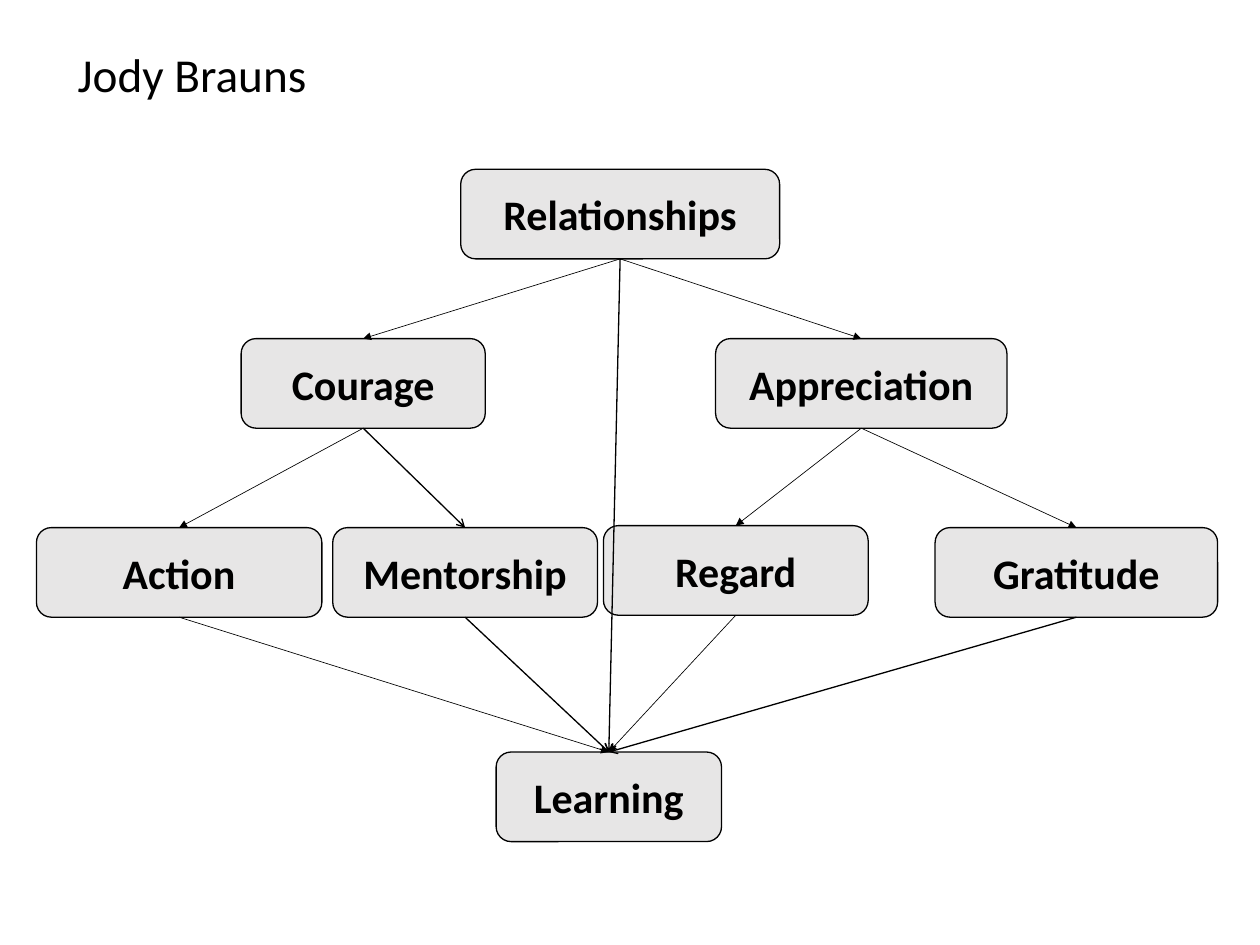
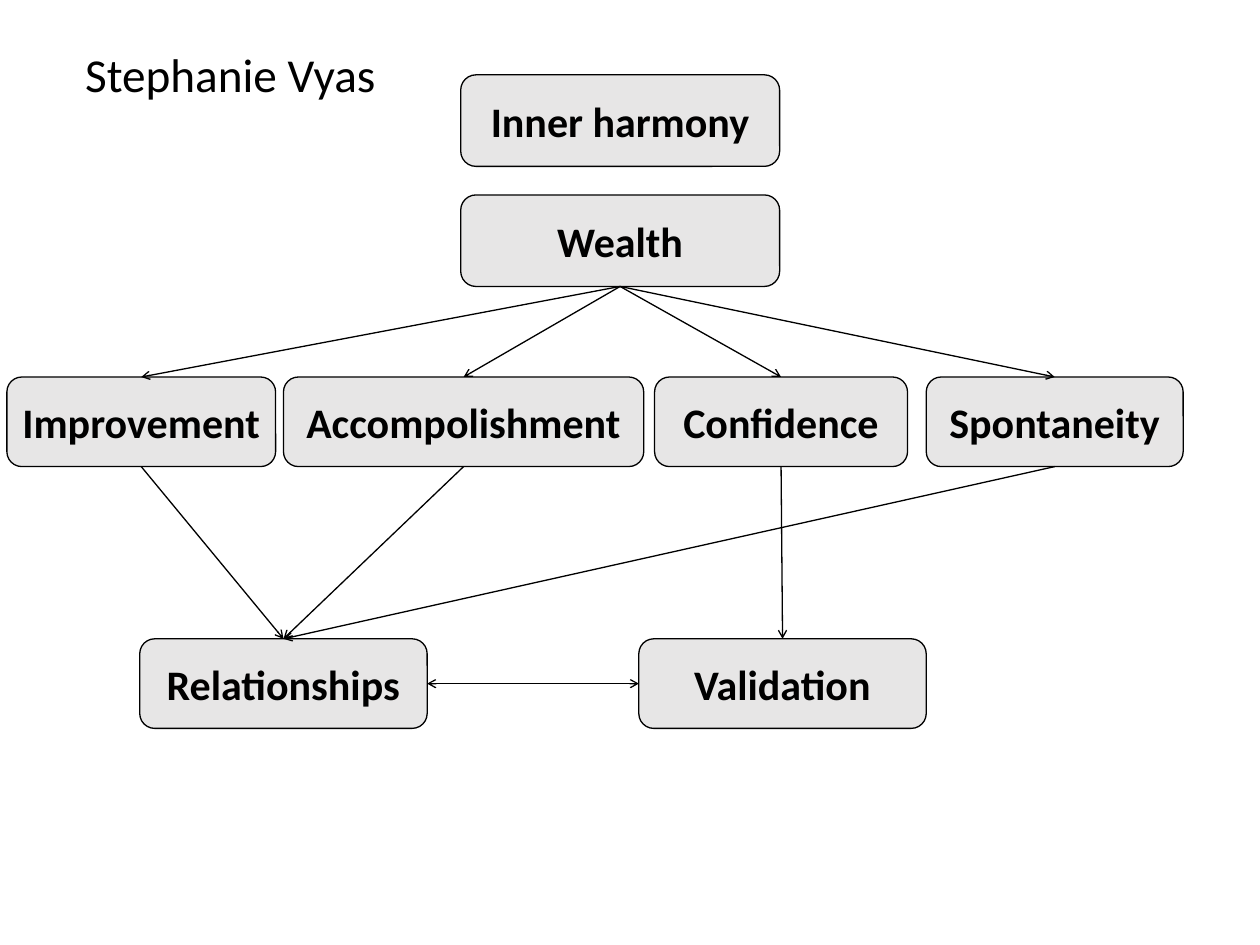
from dataclasses import dataclass

from lxml.etree import SubElement
from pptx import Presentation
from pptx.dml.color import RGBColor
from pptx.enum.shapes import MSO_CONNECTOR, MSO_SHAPE
from pptx.enum.text import MSO_ANCHOR, MSO_AUTO_SIZE, PP_ALIGN
from pptx.oxml.ns import qn
from pptx.util import Emu, Pt


@dataclass(frozen=True)
class Theme:
    font: str = "Calibri"
    ink: RGBColor = RGBColor(0, 0, 0)
    box_fill: RGBColor = RGBColor(0xE7, 0xE6, 0xE6)
    title_size: Pt = Pt(36)
    box_size: Pt = Pt(32)
    outline: Pt = Pt(1)
    hairline: Pt = Pt(0.5)


THEME = Theme()
PX = 9525  # EMU per px, 96 px to the inch
TOP, LEFT, BOTTOM, RIGHT = range(4)  # connection sites of a box

# Each box: left, top, width, height. Each arrow: from, to.
# Open arrows are 1 pt, solid arrows are hairlines.
LADDERS = [
    {
        "person": "Jody Brauns",
        "title_width": 321,
        "title_align": PP_ALIGN.RIGHT,
        "values": {
            "Relationships": (468, 172, 324, 91),
            "Courage": (245, 344, 248, 91),
            "Appreciation": (727, 344, 296, 91),
            "Action": (37, 536, 290, 91),
            "Mentorship": (338, 536, 269, 91),
            "Regard": (613, 534, 269, 91),
            "Gratitude": (950, 536, 287, 91),
            "Learning": (504, 764, 229, 91),
        },
        "solid": [
            ("Relationships", "Courage"),
            ("Relationships", "Appreciation"),
            ("Courage", "Action"),
            ("Appreciation", "Regard"),
            ("Appreciation", "Gratitude"),
            ("Action", "Learning"),
            ("Regard", "Learning"),
        ],
        "open": [
            ("Courage", "Mentorship"),
            ("Mentorship", "Learning"),
            ("Gratitude", "Learning"),
            ("Relationships", "Learning"),
        ],
        "mutual": [],
    },
    {
        "person": "Stephanie Vyas",
        "title_width": 468,
        "title_align": PP_ALIGN.CENTER,
        "values": {
            "Inner harmony": (468, 76, 324, 93),
            "Wealth": (468, 198, 324, 93),
            "Improvement": (7, 383, 273, 91),
            "Accompolishment": (288, 383, 366, 91),
            "Confidence": (665, 383, 257, 91),
            "Spontaneity": (941, 383, 261, 91),
            "Relationships": (142, 649, 292, 91),
            "Validation": (649, 649, 292, 91),
        },
        "solid": [],
        "open": [
            ("Wealth", "Improvement"),
            ("Wealth", "Accompolishment"),
            ("Wealth", "Confidence"),
            ("Wealth", "Spontaneity"),
            ("Improvement", "Relationships"),
            ("Accompolishment", "Relationships"),
            ("Spontaneity", "Relationships"),
            ("Confidence", "Validation"),
        ],
        "mutual": [("Relationships", "Validation")],
    },
]


def write(frame, text, size, align, bold=False):
    frame.vertical_anchor = MSO_ANCHOR.MIDDLE
    frame.auto_size = MSO_AUTO_SIZE.NONE
    frame.word_wrap = True
    paragraph = frame.paragraphs[0]
    paragraph.alignment = align
    run = paragraph.add_run()
    run.text = text
    run.font.name = THEME.font
    run.font.size = size
    run.font.bold = bold
    run.font.color.rgb = THEME.ink


def link(slide, start, end, sites, width, ends):
    arrow = slide.shapes.add_connector(MSO_CONNECTOR.STRAIGHT, 0, 0, 0, 0)
    arrow.begin_connect(start, sites[0])
    arrow.end_connect(end, sites[1])
    arrow.line.width = width
    arrow.line.color.rgb = THEME.ink
    line = arrow.line._get_or_add_ln()
    for tag, kind in ends.items():
        SubElement(line, qn(tag), type=kind)
    SubElement(arrow._element.spPr, qn("a:effectLst"))


deck = Presentation()
deck.slide_width, deck.slide_height = Emu(1280 * PX), Emu(960 * PX)

for ladder in LADDERS:
    slide = deck.slides.add_slide(deck.slide_layouts[5])

    # Person's name as the title
    title = slide.shapes.title
    title.left, title.top = Emu(0), Emu(41 * PX)
    title.width, title.height = Emu(ladder["title_width"] * PX), Emu(68 * PX)
    write(title.text_frame, ladder["person"], THEME.title_size, ladder["title_align"])

    # Value boxes
    boxes = {}
    for value, place in ladder["values"].items():
        box = slide.shapes.add_shape(
            MSO_SHAPE.ROUNDED_RECTANGLE, *(Emu(length * PX) for length in place))
        box.shadow.inherit = False
        box.fill.solid()
        box.fill.fore_color.rgb = THEME.box_fill
        box.line.color.rgb = THEME.ink
        box.line.width = THEME.outline
        write(box.text_frame, value, THEME.box_size, PP_ALIGN.CENTER, bold=True)
        boxes[value] = box

    # Arrows between values
    for group, sites, width, ends in (
        ("solid", (BOTTOM, TOP), THEME.hairline, {"a:tailEnd": "triangle"}),
        ("open", (BOTTOM, TOP), THEME.outline, {"a:tailEnd": "arrow"}),
        ("mutual", (RIGHT, LEFT), THEME.outline,
         {"a:headEnd": "arrow", "a:tailEnd": "arrow"}),
    ):
        for start, end in ladder[group]:
            link(slide, boxes[start], boxes[end], sites, width, ends)

deck.save("out.pptx")
